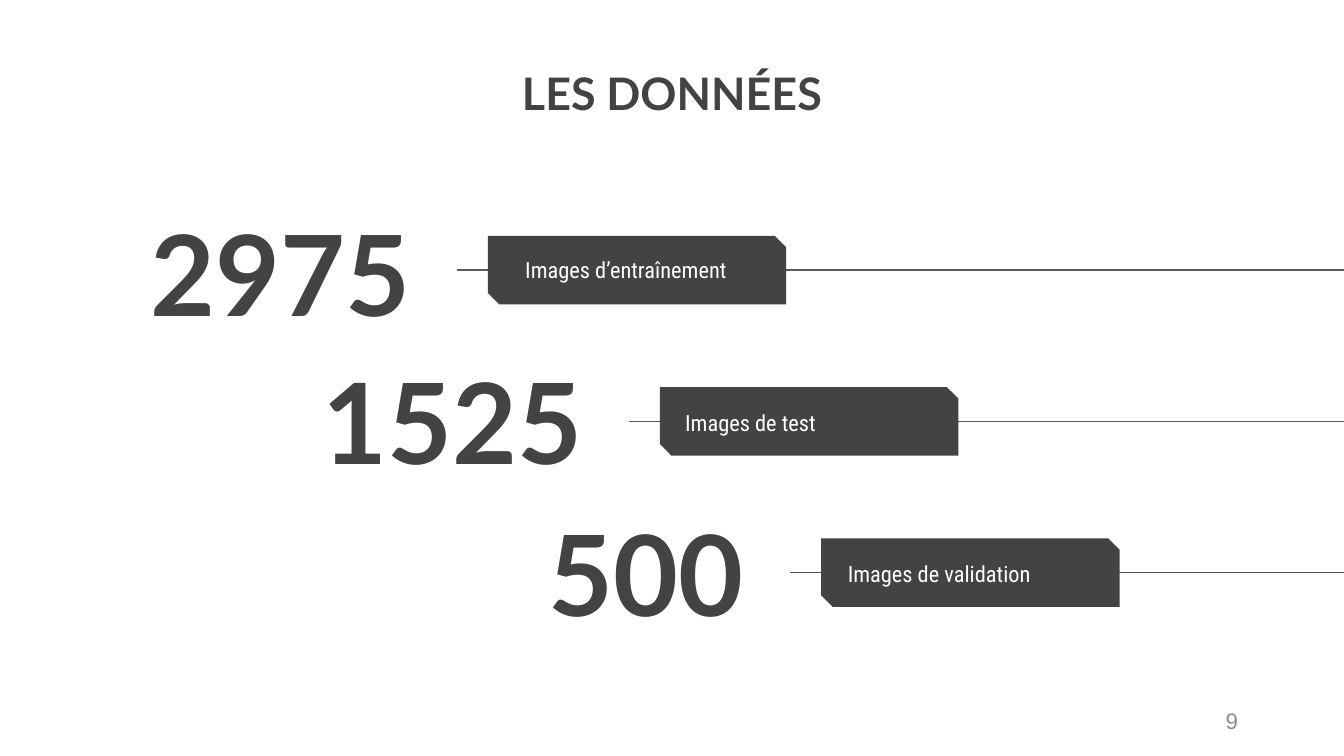
from lxml import etree
from pptx import Presentation
from pptx.dml.color import RGBColor
from pptx.enum.shapes import MSO_CONNECTOR, MSO_SHAPE
from pptx.enum.text import MSO_ANCHOR, PP_ALIGN
from pptx.oxml.ns import qn
from pptx.util import Inches, Pt

LEFT, CENTER, RIGHT = PP_ALIGN.LEFT, PP_ALIGN.CENTER, PP_ALIGN.RIGHT
TOP, MIDDLE = MSO_ANCHOR.TOP, MSO_ANCHOR.MIDDLE
STRAIGHT = MSO_CONNECTOR.STRAIGHT
SNIPPED = MSO_SHAPE.SNIP_2_DIAG_RECTANGLE

WIDTH = 10
HEIGHT = WIDTH * 9 / 16
DARK, RULE, WHITE, GREY = "434343", "595959", "FFFFFF", "8C8C8C"

TITLE = "LES DONNÉES"
PAGE_NUMBER = "9"
# count, caption, rule start, count width, count rise, caption indent, anchor
DATASETS = [
    ("2975", "Images d’entraînement", 3.4, 2.22, 0.4, 0.18, MIDDLE),
    ("1525", "Images de test", 4.68, 2.29, 0.43, 0.09, TOP),
    ("500", "Images de validation", 5.88, 1.96, 0.42, 0.1, TOP),
]
FIRST_ROW, ROW_PITCH = 2.01, HEIGHT / 5
TAG_WIDTH, TAG_HEIGHT, TAG_GAP = 2.22, 0.51, 0.23
COUNT_HEIGHT, COUNT_GAP = 0.83, 0.25
CAPTION_WIDTH, CAPTION_HEIGHT, CAPTION_RISE = 3.57, 0.37, 0.19


def color(hex_code):
    return RGBColor.from_string(hex_code)


def add_text(slide, text, box, size, font, hex_code, align=LEFT, anchor=TOP, bold=False):
    frame = slide.shapes.add_textbox(*map(Inches, box)).text_frame
    frame.word_wrap = True
    frame.vertical_anchor = anchor
    frame.margin_left = frame.margin_right = Inches(0.1)
    frame.margin_top = frame.margin_bottom = Inches(0.1)
    paragraph = frame.paragraphs[0]
    paragraph.text = text
    paragraph.alignment = align
    paragraph.font.size = Pt(size)
    paragraph.font.name = font
    paragraph.font.bold = bold
    paragraph.font.color.rgb = color(hex_code)


def add_rule(slide, start, y):
    rule = slide.shapes.add_connector(
        STRAIGHT, Inches(WIDTH), Inches(y), Inches(start), Inches(y))
    rule.line.color.rgb = color(RULE)
    rule.line.width = Pt(0.75)
    etree.SubElement(rule._element.spPr, qn("a:effectLst"))


def add_tag(slide, left, y):
    tag = slide.shapes.add_shape(
        SNIPPED, Inches(left), Inches(y - TAG_HEIGHT / 2),
        Inches(TAG_WIDTH), Inches(TAG_HEIGHT))
    tag.adjustments[0] = 0
    tag.adjustments[1] = 0.167
    tag.shadow.inherit = False
    tag.fill.solid()
    tag.fill.fore_color.rgb = color(DARK)
    tag.line.fill.background()


def main():
    deck = Presentation()
    deck.slide_width, deck.slide_height = Inches(WIDTH), Inches(HEIGHT)
    slide = deck.slides.add_slide(deck.slide_layouts[6])

    add_text(slide, TITLE, (2.15, 0.39, 5.7, 1.03), 24, "Lato", DARK, CENTER, bold=True)

    for row, dataset in enumerate(DATASETS):
        count, caption, start, count_width, rise, indent, anchor = dataset
        y = FIRST_ROW + row * ROW_PITCH
        tag_left = start + TAG_GAP
        add_rule(slide, start, y)
        add_tag(slide, tag_left, y)
        count_box = (start - COUNT_GAP - count_width, y - rise, count_width, COUNT_HEIGHT)
        add_text(slide, count, count_box, 60, "Lato", DARK, RIGHT, MIDDLE, bold=True)
        caption_box = (tag_left + indent, y - CAPTION_RISE, CAPTION_WIDTH, CAPTION_HEIGHT)
        add_text(slide, caption, caption_box, 12, "Roboto Condensed", WHITE, anchor=anchor)

    add_text(slide, PAGE_NUMBER, (7.06, 5.21, 2.25, 0.3), 12, "Arial", GREY, RIGHT, MIDDLE)
    deck.save("out.pptx")


if __name__ == "__main__":
    main()
